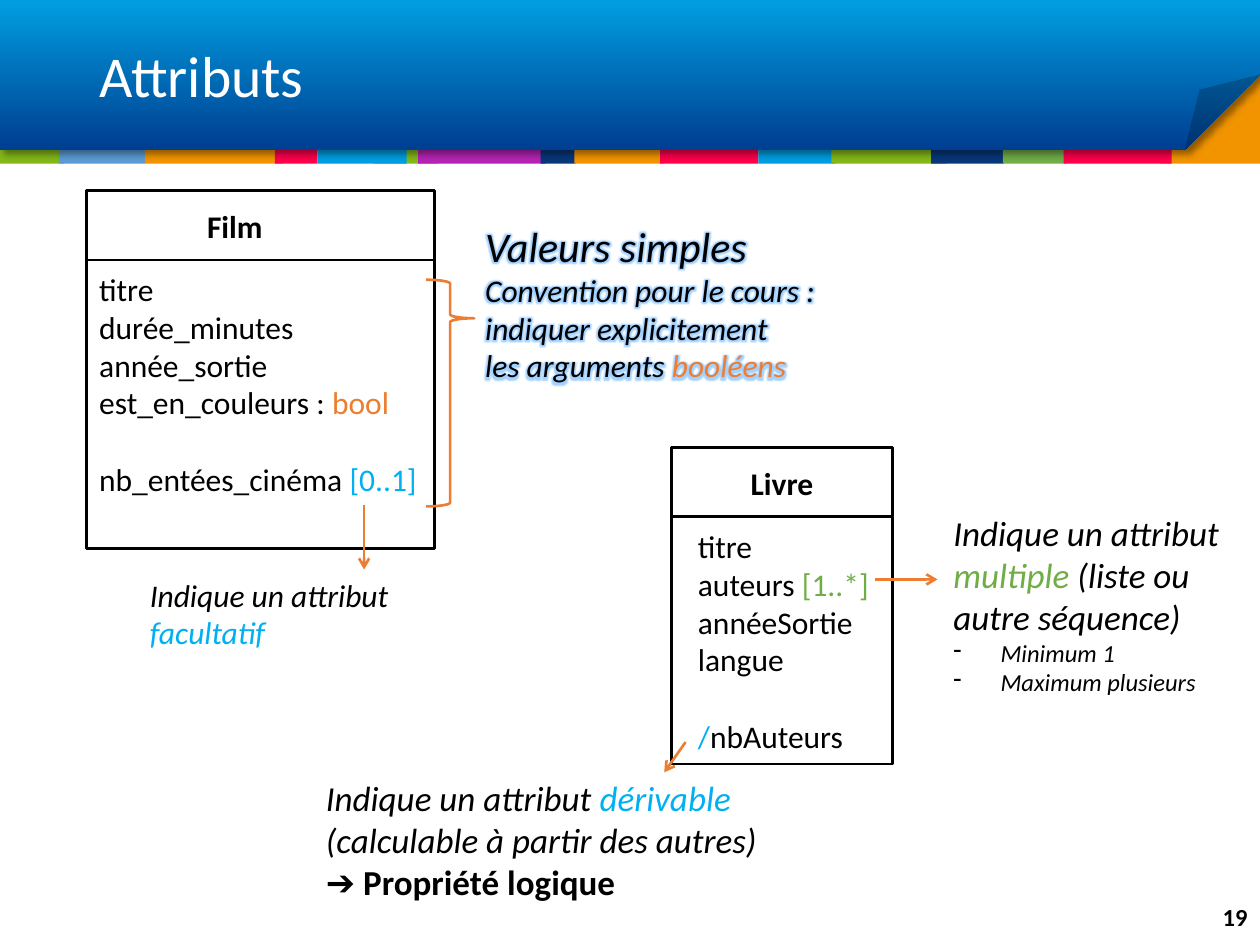
"""Build the slide on class attributes, with two UML classes and their comments."""
from lxml.etree import SubElement
from pptx import Presentation
from pptx.dml.color import RGBColor
from pptx.enum.shapes import MSO_CONNECTOR, MSO_SHAPE
from pptx.enum.text import MSO_ANCHOR, PP_ALIGN
from pptx.oxml import parse_xml
from pptx.oxml.ns import nsdecls, qn
from pptx.util import Cm, Pt

BLACK, WHITE = "000000", "FFFFFF"
ORANGE, CYAN, GREEN = "ED7D31", "00B0F0", "70AD47"
LIME, AMBER, RED, SKY, NAVY = "83B818", "F29400", "FF014B", "009EE0", "073779"
BAND_TOP, BAND_BOTTOM, BANNER_HEIGHT = 2.06, 3.3, 3.02
HEAD_HEIGHT, ATTRIBUTES_HEIGHT = 1.4, 4.88

BANDS = [
    (7.54, 1.3, LIME), (0, 1.3, LIME), (1.19, 1.75, "5B9BD5"), (2.92, 2.79, AMBER),
    (5.54, 0.86, RED), (6.4, 1.8, SKY), (8.43, 2.57, "B523B4"), (10.9, 0.71, NAVY),
    (11.58, 1.8, AMBER), (13.31, 1.98, RED), (15.29, 1.55, SKY), (16.76, 2.31, LIME),
    (18.77, 1.47, NAVY), (20.22, 1.27, GREEN), (21.44, 2.18, RED),
]
CORNER = (23.39, 1.19, 2.01, 2.11)
GAP = {"before": 22}
DASH = {"size": 14, "bullet": "-"}

CLASSES = [
    {
        "box": (1.75, 3.84, 7.01), "body_height": 5.82,
        "name": "Film", "name_span": (2.13, 5.21), "attributes_span": (1.75, 7.01),
        "attributes": [
            ["titre"], ["durée_minutes"], ["année_sortie"],
            ["est_en_couleurs : ", ("bool", ORANGE)],
            (["nb_entées_cinéma ", ("[0..1]", CYAN)], GAP),
        ],
    },
    {
        "box": (13.54, 9.02, 4.45), "body_height": 4.98,
        "name": "Livre", "name_span": (13.54, 4.45), "attributes_span": (13.82, 4.19),
        "attributes": [
            ["titre"], ["auteurs ", ("[1..*]", GREEN)], ["annéeSortie"], ["langue"],
            ([("/", CYAN), "nbAuteurs"], GAP),
        ],
    },
]
COMMENTS = [
    ((9.53, 4.32, 7.7, 3.58), {"size": 18, "glow": "66B3FF"}, [
        (["Valeurs simples"], {"size": 24}),
        ["Convention pour le cours :"],
        ["indiquer explicitement"],
        ["les arguments ", ("booléens", ORANGE)],
    ]),
    ((2.77, 11.48, 6.3, 1.8), {"size": 18}, [
        ["Indique un attribut"], [("facultatif", CYAN)],
    ]),
    ((6.32, 15.52, 10.16, 2.82), {"size": 20}, [
        ["Indique un attribut ", ("dérivable", CYAN), " (calculable à partir des autres)"],
        (["➔ Propriété logique"], {"italic": False, "bold": True}),
    ]),
    ((18.97, 10.19, 6.2, 4.01), {"size": 20}, [
        ["Indique un attribut ", ("multiple", GREEN), " (liste ou autre séquence)"],
        (["Minimum 1"], DASH), (["Maximum plusieurs"], DASH),
    ]),
]
BRACE = (8.59, 5.64, 0.97, 4.57)
ARROWS = [(7.34, 10.19, 7.34, 11.48), (13.82, 14.96, 13.39, 15.57), (17.63, 11.68, 18.9, 11.68)]


def rgb(value):
    return RGBColor.from_string(value)


def effects(content=""):
    return parse_xml(f"<a:effectLst {nsdecls('a')}>{content}</a:effectLst>")


def tint(value, alpha):
    return f'<a:srgbClr val="{value}"><a:alpha val="{alpha}000"/></a:srgbClr>'


def add_box(slide, box, kind=MSO_SHAPE.RECTANGLE, fill=None, line=None):
    part = slide.shapes.add_shape(kind, *map(Cm, box))
    part.shadow.inherit = False
    if fill:
        part.fill.solid()
        part.fill.fore_color.rgb = rgb(fill)
    else:
        part.fill.background()
    if line:
        part.line.color.rgb = rgb(line)
        part.line.width = Pt(1.5)
    else:
        part.line.fill.background()
    return part


def add_text(slide, box, paragraphs, anchor=MSO_ANCHOR.TOP, **base):
    frame = slide.shapes.add_textbox(*map(Cm, box)).text_frame
    frame.word_wrap = True
    frame.vertical_anchor = anchor
    for index, entry in enumerate(paragraphs):
        runs, own = entry if isinstance(entry, tuple) else (entry, {})
        style = {**base, **own}
        paragraph = frame.paragraphs[0] if index == 0 else frame.add_paragraph()
        paragraph.alignment = style.get("align")
        paragraph.line_spacing = style.get("spacing")
        if "before" in style:
            paragraph.space_before = Pt(style["before"])
        if "bullet" in style:
            properties = paragraph._p.get_or_add_pPr()
            properties.set("marL", str(Cm(0.95)))
            properties.set("indent", str(-Cm(0.95)))
            SubElement(properties, qn("a:buChar"), char=style["bullet"])
        for piece in runs:
            words, color = piece if isinstance(piece, tuple) else (piece, style.get("color", BLACK))
            run = paragraph.add_run()
            run.text = words
            run.font.size = Pt(style["size"])
            run.font.name = "Calibri"
            run.font.bold = style.get("bold", False)
            run.font.italic = style.get("italic", False)
            run.font.color.rgb = rgb(color)
            if "glow" in style:
                glow = f'<a:glow rad="{Pt(5)}">{tint(style["glow"], 60)}</a:glow>'
                run.font._element.find(qn("a:solidFill")).addnext(effects(glow))


def add_banner(slide):
    for left, width, color in BANDS:
        add_box(slide, (left, BAND_TOP, width, BAND_BOTTOM - BAND_TOP), fill=color)
        if left == BANDS[0][0]:
            add_box(slide, CORNER, fill=AMBER)
    banner = add_box(slide, (0, 0, 25.4, BANNER_HEIGHT), MSO_SHAPE.FOLDED_CORNER)
    properties = banner._element.spPr
    fold = properties.find(f"{qn('a:prstGeom')}/{qn('a:avLst')}")
    SubElement(fold, qn("a:gd"), name="adj", fmla="val 50000")
    banner.fill.gradient()
    banner.fill.gradient_angle = 270
    for stop, position, color in zip(banner.fill.gradient_stops, (0, 1), (SKY, "003E90")):
        stop.position = position
        stop.color.rgb = rgb(color)
    properties.remove(properties.find(qn("a:effectLst")))
    properties.append(effects(
        f'<a:outerShdw blurRad="{Pt(4)}" dist="{Pt(3)}" dir="2700000" algn="tl" rotWithShape="0">'
        f"{tint(BLACK, 40)}</a:outerShdw>"))


def add_class(slide, model):
    left, top, width = model["box"]
    body_top = top + HEAD_HEIGHT
    add_box(slide, (left, top, width, HEAD_HEIGHT), line=BLACK)
    add_box(slide, (left, body_top, width, model["body_height"]), line=BLACK)
    name_left, name_width = model["name_span"]
    add_text(slide, (name_left, top + 0.2, name_width, 1.03), [[model["name"]]],
             size=18, bold=True, align=PP_ALIGN.CENTER)
    text_left, text_width = model["attributes_span"]
    add_text(slide, (text_left, body_top + 0.08, text_width, ATTRIBUTES_HEIGHT),
             model["attributes"], size=18)


def add_arrow(slide, ends):
    arrow = slide.shapes.add_connector(MSO_CONNECTOR.STRAIGHT, *map(Cm, ends))
    arrow.line.color.rgb = rgb(ORANGE)
    arrow.line.width = Pt(1.5)
    SubElement(arrow.line._get_or_add_ln(), qn("a:tailEnd"), type="arrow")
    arrow._element.spPr.append(effects())


def main():
    deck = Presentation()
    deck.slide_width, deck.slide_height = Cm(25.4), Cm(19.05)
    slide = deck.slides.add_slide(deck.slide_layouts[6])
    add_banner(slide)
    add_text(slide, (1.75, 0.64, 21.9, 1.9), [["Attributs"]], MSO_ANCHOR.MIDDLE,
             size=33, color=WHITE, spacing=0.9)
    add_text(slide, (23.65, 17.96, 1.75, 1.02), [["19"]], MSO_ANCHOR.MIDDLE,
             size=14, bold=True, align=PP_ALIGN.RIGHT)
    for model in CLASSES:
        add_class(slide, model)
    brace = add_box(slide, BRACE, MSO_SHAPE.RIGHT_BRACE, line=ORANGE)
    brace.adjustments[0], brace.adjustments[1] = 0.08, 0.17
    for box, style, paragraphs in COMMENTS:
        add_text(slide, box, paragraphs, italic=True, **style)
    for ends in ARROWS:
        add_arrow(slide, ends)
    deck.save("out.pptx")


if __name__ == "__main__":
    main()
